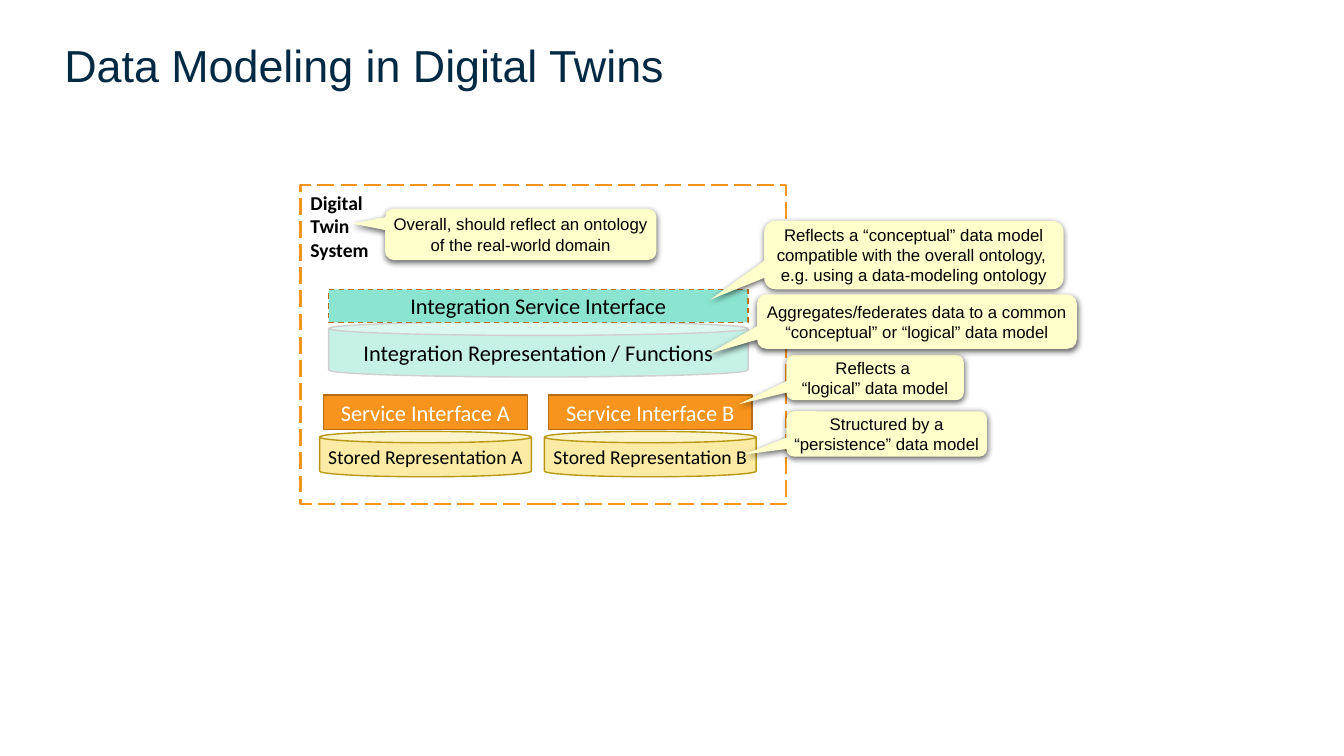
from lxml import etree
from pptx import Presentation
from pptx.dml.color import RGBColor
from pptx.enum.dml import MSO_LINE
from pptx.enum.shapes import MSO_SHAPE
from pptx.enum.text import MSO_ANCHOR, PP_ALIGN
from pptx.oxml import parse_xml
from pptx.oxml.ns import qn
from pptx.util import Inches, Pt

RECT, CAN = MSO_SHAPE.RECTANGLE, MSO_SHAPE.CAN
CALLOUT = MSO_SHAPE.ROUNDED_RECTANGULAR_CALLOUT
DASH, LONG_DASH = MSO_LINE.DASH, MSO_LINE.LONG_DASH
LEFT, CENTER = PP_ALIGN.LEFT, PP_ALIGN.CENTER
TOP, MIDDLE = MSO_ANCHOR.TOP, MSO_ANCHOR.MIDDLE
BLACK, WHITE, ORANGE, BROWN = "000000", "FFFFFF", "F7941D", "B76D15"
SHADOW = (
    '<a:effectLst xmlns:a="http://schemas.openxmlformats.org/drawingml/2006/main">'
    '<a:outerShdw blurRad="57150" dist="19050" dir="5400000" algn="ctr" rotWithShape="0">'
    '<a:srgbClr val="000000"><a:alpha val="63000"/></a:srgbClr>'
    '</a:outerShdw></a:effectLst>'
)


def color(value):
    """Turn a hex string into a colour."""
    return RGBColor.from_string(value)


def write(s, lines, size, font="Calibri", ink=BLACK, bold=False,
          align=CENTER, anchor=MIDDLE, wrap=True):
    """Fill a shape with one paragraph per line."""
    tf = s.text_frame
    tf.word_wrap = wrap
    tf.vertical_anchor = anchor
    tf.text = "\n".join(lines)
    for p in tf.paragraphs:
        p.alignment = align
        p.font.name, p.font.size, p.font.bold = font, Pt(size), bold
        p.font.color.rgb = color(ink)


def add_block(slide, kind, box, fill, line=None, width=1, dash=None):
    """Add a filled shape, outlined if a line colour is given."""
    s = slide.shapes.add_shape(kind, *map(Inches, box))
    s.shadow.inherit = False
    s.fill.solid()
    s.fill.fore_color.rgb = color(fill)
    if line:
        s.line.color.rgb = color(line)
        s.line.width = Pt(width)
        s.line.dash_style = dash
    else:
        s.line.fill.background()
    return s


def add_title(slide, box, text):
    """Add the slide heading."""
    s = slide.shapes.add_textbox(*map(Inches, box))
    write(s, [text], 32, "Arial", "002A44", align=LEFT)
    s.text_frame.paragraphs[0].line_spacing = 0.9


def add_frame(slide, box, lines):
    """Add the half-transparent system boundary with its label."""
    s = add_block(slide, RECT, box, WHITE, ORANGE, 1.5, LONG_DASH)
    fill = s.fill._xPr.find(qn("a:solidFill"))
    etree.SubElement(fill[0], qn("a:alpha")).set("val", "50000")
    write(s, lines, 14, bold=True, align=LEFT, anchor=TOP)


def add_integration(slide, box):
    """Add the integration interface above its representation."""
    x, y, w, h = box
    s = add_block(slide, CAN, (x, y + 0.32, w, h - 0.32), "C5F1E7", "D0CECE")
    write(s, ["Integration Representation / Functions"], 16)
    s = add_block(slide, RECT, (x, y, w, 0.33), "8BE4CF", BROWN, dash=DASH)
    write(s, ["Integration Service Interface"], 16)


def add_service(slide, box, name):
    """Add a service interface above its stored representation."""
    x, y, w, h = box
    s = add_block(slide, CAN, (x, y + 0.36, w, h - 0.36), "FCEBA4", "B79814")
    write(s, [f"Stored Representation {name}"], 14, wrap=False)
    s = add_block(slide, RECT, (x + 0.04, y, w - 0.08, 0.34), ORANGE, BROWN)
    write(s, [f"Service Interface {name}"], 16, ink=WHITE)


def add_callout(slide, box, tip, lines):
    """Add a shadowed note whose tip is relative to its box."""
    s = add_block(slide, CALLOUT, box, "FFFFCC")
    s.adjustments[0], s.adjustments[1] = tip
    pr = s._element.spPr
    pr.replace(pr.find(qn("a:effectLst")), parse_xml(SHADOW))
    write(s, lines, 12, "Arial", wrap=False)


def add_diagram(slide, box):
    """Add the digital twin system and the notes around it."""
    x, y, w, h = box
    add_frame(slide, box, ["Digital", "Twin", "System"])
    add_integration(slide, (x + 0.28, y + 1.03, 4.16, 0.87))
    for i, name in enumerate("AB"):
        add_service(slide, (x + 0.19 + 2.23 * i, y + 2.08, 2.1, 0.81), name)
    notes = [
        (w, 1.68, 1.76, 0.45, (-0.77, 0.59),
         ["Reflects a ", "“logical” data model"]),
        (w, 2.24, 1.99, 0.45, (-0.71, 0.45),
         ["Structured by a", "“persistence” data model"]),
        (4.6, 0.35, 2.97, 0.68, (-0.68, 0.65),
         ["Reflects a “conceptual” data model",
          "compatible with the overall ontology, ",
          "e.g. using a data-modeling ontology"]),
        (4.53, 1.08, 3.17, 0.54, (-0.65, 0.59),
         ["Aggregates/federates data to a common",
          "“conceptual” or “logical” data model"]),
        (0.84, 0.23, 2.69, 0.51, (-0.62, -0.21),
         ["Overall, should reflect an ontology",
          "of the real-world domain"]),
    ]
    for dx, dy, width, height, tip, lines in notes:
        add_callout(slide, (x + dx, y + dy, width, height), tip, lines)


def main():
    """Build and save the slide."""
    prs = Presentation()
    prs.slide_width, prs.slide_height = Inches(13.33), Inches(7.5)
    slide = prs.slides.add_slide(prs.slide_layouts[6])
    add_diagram(slide, (2.98, 1.84, 4.82, 3.16))
    add_title(slide, (0.54, 0.26, 12.22, 0.83), "Data Modeling in Digital Twins")
    prs.save("out.pptx")


main()
